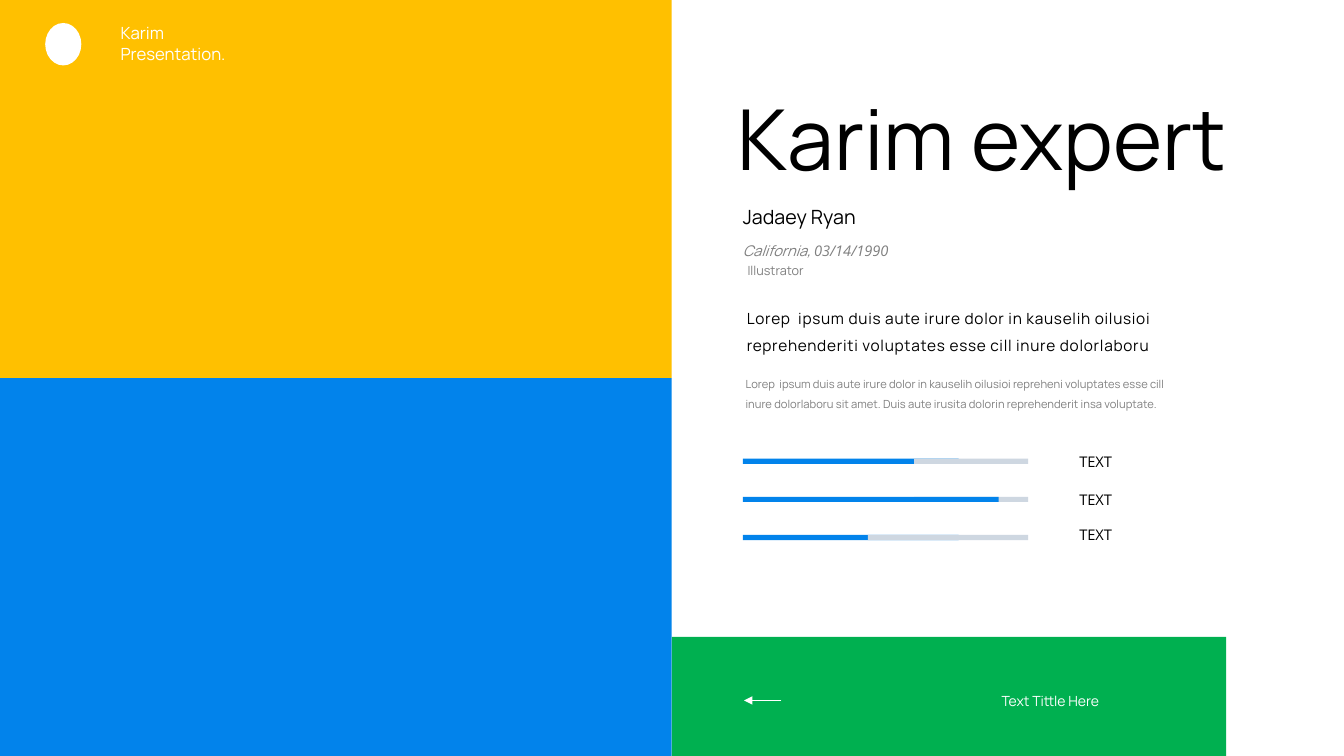
from lxml import etree
from pptx import Presentation
from pptx.dml.color import RGBColor
from pptx.enum.shapes import MSO_CONNECTOR as Connector, MSO_SHAPE as Shape
from pptx.enum.text import MSO_AUTO_SIZE as AutoSize
from pptx.oxml.ns import qn
from pptx.util import Cm, Pt

COLORS = {
    "yellow": "FFC000", "blue": "0283EB", "green": "00B050",
    "track": "CED7E1", "grey": "808080", "black": "000000", "white": "FFFFFF",
}

deck = Presentation()
deck.slide_width, deck.slide_height = Cm(33.87), Cm(19.05)
slide = deck.slides.add_slide(deck.slide_layouts[6])


def add_block(color, left, top, width, height, kind=Shape.RECTANGLE):
    block = slide.shapes.add_shape(kind, Cm(left), Cm(top), Cm(width), Cm(height))
    block.shadow.inherit = False
    block.fill.solid()
    block.fill.fore_color.rgb = RGBColor.from_string(COLORS[color])
    block.line.fill.background()


def add_text(box, paragraphs, color, style, line_spacing=None, wrap=True, tracking=None):
    """Each paragraph is a list of (text, font name) runs."""
    frame = slide.shapes.add_textbox(*map(Cm, box)).text_frame
    frame.word_wrap = wrap
    frame.auto_size = AutoSize.SHAPE_TO_FIT_TEXT
    for index, runs in enumerate(paragraphs):
        paragraph = frame.add_paragraph() if index else frame.paragraphs[0]
        paragraph.line_spacing = line_spacing
        for words, typeface in runs:
            run = paragraph.add_run()
            run.text = words
            for attribute, value in {"name": typeface, **style}.items():
                setattr(run.font, attribute, value)
            run.font.color.rgb = RGBColor.from_string(COLORS[color])
            if tracking:
                run.font._element.set("spc", str(tracking))


# Colour panels
half_width, half_height = 16.93, 9.53
add_block("yellow", 0, 0, half_width, half_height)
add_block("blue", 0, half_height, half_width, half_height)
add_block("green", half_width, 16.05, 13.97, 3)

# Header mark and name
add_block("white", 1.14, 0.58, 0.91, 1.07, Shape.OVAL)
add_text((2.79, 0.46, 3.33, 1.27),
         [[("Karim", "Manrope")], [("Presentation.", "Manrope")]],
         "white", {"size": Pt(12)})

# Title and profile
add_text((18.34, 2.34, 14.5, 2.59), [[("Karim expert", "Manrope")]],
         "black", {"size": Pt(60)}, line_spacing=0.9, wrap=False)
add_text((18.47, 5.03, 5.56, 0.86), [[("Jadaey Ryan", "Manrope")]],
         "black", {"size": Pt(14)})
add_text((18.47, 5.74, 5.03, 0.89),
         [[("California, ", "Manrope"), ("03/14/1990", "Open Sans")]],
         "grey", {"size": Pt(10.5), "italic": True}, line_spacing=1.5)
add_text((18.59, 6.32, 4.45, 0.79), [[("Illustrator", "Manrope")]],
         "grey", {"size": Pt(9)}, line_spacing=1.5)

# Lead and body copy
lead = ("Lorep  ipsum duis aute irure dolor in kauselih oilusioi "
        "reprehenderiti voluptates esse cill inure dolorlaboru")
body = ("Lorep  ipsum duis aute irure dolor in kauselih oilusioi repreheni "
        "voluptates esse cill inure dolorlaboru sit amet. Duis aute irusita "
        "dolorin reprehenderit insa voluptate.")
add_text((18.57, 7.42, 11.96, 1.6), [[(lead, "Manrope")]],
         "black", {"size": Pt(11)}, line_spacing=1.5, tracking=50)
add_text((18.54, 9.22, 11.48, 1.75), [[(body, "Manrope")]],
         "grey", {"size": Pt(8)}, line_spacing=1.5)

# Skill bars: segments from back to front as (colour, left, right)
bar_left, bar_right = 18.72, 25.91
skills = [
    (11.28, [("blue", bar_left, 24.16), ("track", 23.04, bar_right)]),
    (12.24, [("track", 23.04, bar_right), ("blue", bar_left, 25.17)]),
    (13.13, [("blue", bar_left, 24.16), ("track", 21.87, bar_right)]),
]
for row, (label_top, segments) in enumerate(skills):
    for color, left, right in segments:
        add_block(color, left, 11.56 + row * 0.96, right - left, 0.13)
    add_text((26.95, label_top, 1.98, 0.71), [[("TEXT", "Open Sans")]],
             "black", {"size": Pt(10.5)})

# Footer arrow and caption
arrow = slide.shapes.add_connector(
    Connector.STRAIGHT, Cm(19.69), Cm(17.65), Cm(18.75), Cm(17.65))
arrow.line.width = Pt(0.5)
arrow.line.color.rgb = RGBColor.from_string(COLORS["white"])
etree.SubElement(arrow.line._get_or_add_ln(), qn("a:tailEnd"), type="triangle")
etree.SubElement(arrow._element.spPr, qn("a:effectLst"))
add_text((24.99, 17.32, 3.12, 0.69), [[("Text Tittle Here", "Manrope")]],
         "white", {"size": Pt(10)}, wrap=False)

deck.save("out.pptx")
